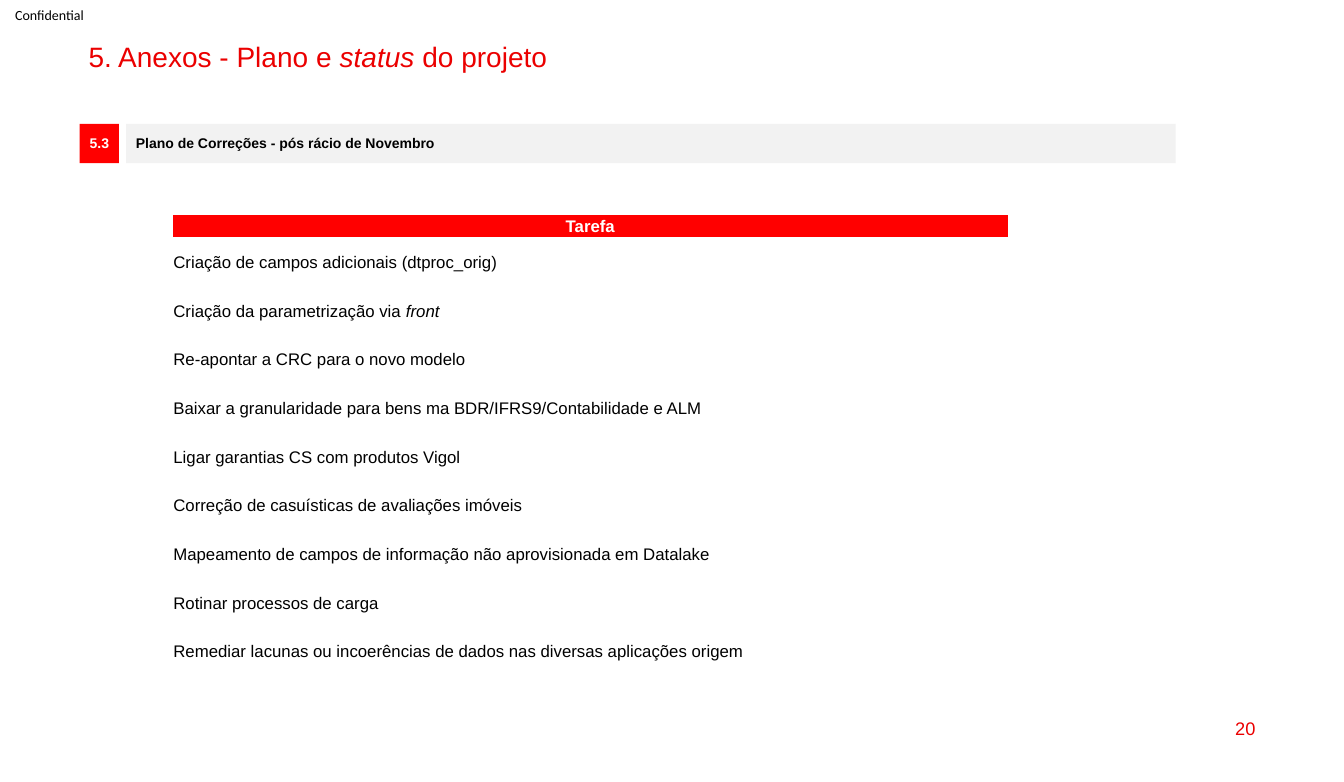
import pptx
import pptx.dml.color
import pptx.enum.shapes
import pptx.enum.text
import pptx.util
from pptx.util import Inches

ALIGN = pptx.enum.text.PP_ALIGN
ANCHOR = pptx.enum.text.MSO_ANCHOR

COLOURS = {
    "accent": "EB0000",
    "red": "FF0000",
    "grey": "F2F2F2",
    "white": "FFFFFF",
    "black": "000000",
}

# Within a tuple, every second span is italic
TASKS = [
    "Criação de campos adicionais (dtproc_orig)",
    ("Criação da parametrização via ", "front"),
    "Re-apontar a CRC para o novo modelo",
    "Baixar a granularidade para bens ma BDR/IFRS9/Contabilidade e ALM",
    "Ligar garantias CS com produtos Vigol",
    "Correção de casuísticas de avaliações imóveis",
    "Mapeamento de campos de informação não aprovisionada em Datalake",
    "Rotinar processos de carga",
    "Remediar lacunas ou incoerências de dados nas diversas aplicações origem",
]


def colour(name):
    return pptx.dml.color.RGBColor.from_string(COLOURS[name])


def write(frame, text, size, ink, bold=False, align=ALIGN.LEFT, font="Arial", spacing=1.0):
    """Fill the frame with one paragraph of plain or part-italic text."""
    spans = (text,) if isinstance(text, str) else text
    para = frame.paragraphs[0]
    para.text = spans[0]
    for words in spans[1:]:
        para.add_run().text = words
    para.alignment = align
    para.line_spacing = spacing
    for index, span in enumerate(para.runs):
        span.font.name = font
        span.font.size = pptx.util.Pt(size)
        span.font.bold = bold
        span.font.italic = index % 2 == 1
        span.font.color.rgb = colour(ink)


def set_frame(frame, anchor, left=0.1, top=0.05, right=0.1, bottom=0.05):
    frame.word_wrap = True
    frame.vertical_anchor = anchor
    frame.margin_left, frame.margin_top = Inches(left), Inches(top)
    frame.margin_right, frame.margin_bottom = Inches(right), Inches(bottom)


def add_label(page, place, text, size, ink, anchor=ANCHOR.MIDDLE, margins=(), **style):
    box = page.shapes.add_textbox(*map(Inches, place))
    set_frame(box.text_frame, anchor, *margins)
    write(box.text_frame, text, size, ink, **style)


def add_bar(page, place, fill, text, ink, align):
    bar = page.shapes.add_shape(
        pptx.enum.shapes.MSO_SHAPE.RECTANGLE, *map(Inches, place))
    bar.shadow.inherit = False
    bar.fill.solid()
    bar.fill.fore_color.rgb = colour(fill)
    bar.line.fill.background()
    set_frame(bar.text_frame, ANCHOR.MIDDLE)
    write(bar.text_frame, text, 10, ink, bold=True, align=align, spacing=0.9)


def fill_cell(cell, text, ink, **style):
    cell.vertical_anchor = ANCHOR.MIDDLE
    cell.margin_left = cell.margin_right = cell.margin_top = Inches(0.01)
    cell.margin_bottom = 0
    write(cell.text_frame, text, 12, ink, **style)


def add_task_table(page, left, top, width, height, header_height):
    table = page.shapes.add_table(
        len(TASKS) + 1, 1, Inches(left), Inches(top), Inches(width), Inches(height)).table
    table.first_row = table.horz_banding = False

    # Header row
    header = table.cell(0, 0)
    table.rows[0].height = Inches(header_height)
    header.fill.solid()
    header.fill.fore_color.rgb = colour("red")
    fill_cell(header, "Tarefa", "white", bold=True, align=ALIGN.CENTER)

    # Task rows share the remaining height
    for index, task in enumerate(TASKS, start=1):
        table.rows[index].height = Inches((height - header_height) / len(TASKS))
        cell = table.cell(index, 0)
        cell.fill.background()
        fill_cell(cell, task, "black")


def main():
    deck = pptx.Presentation()
    deck.slide_width, deck.slide_height = Inches(13.33), Inches(7.76)
    page = deck.slides.add_slide(deck.slide_layouts[6])

    # Classification, heading and page number
    add_label(page, (0, 0, 0.99, 0.29), "Confidential", 10, "black",
              margins=(0.15, 0, 0, 0), font="Calibri")
    add_label(page, (0.78, 0.38, 11.77, 0.34),
              ("5. Anexos - Plano e ", "status", " do projeto"), 20, "accent",
              anchor=ANCHOR.TOP, spacing=0.9)
    add_label(page, (9.55, 7.02, 3, 0.41), "20", 13, "accent", align=ALIGN.RIGHT)

    # Section banner
    add_bar(page, (0.79, 1.23, 0.39, 0.39), "red", "5.3", "white", ALIGN.CENTER)
    add_bar(page, (1.25, 1.23, 10.41, 0.39), "grey",
            "Plano de Correções - pós rácio de Novembro", "black", ALIGN.LEFT)

    # Task list
    add_task_table(page, 1.71, 2.13, 8.29, 4.58, header_height=0.23)

    deck.save("out.pptx")


if __name__ == "__main__":
    main()
